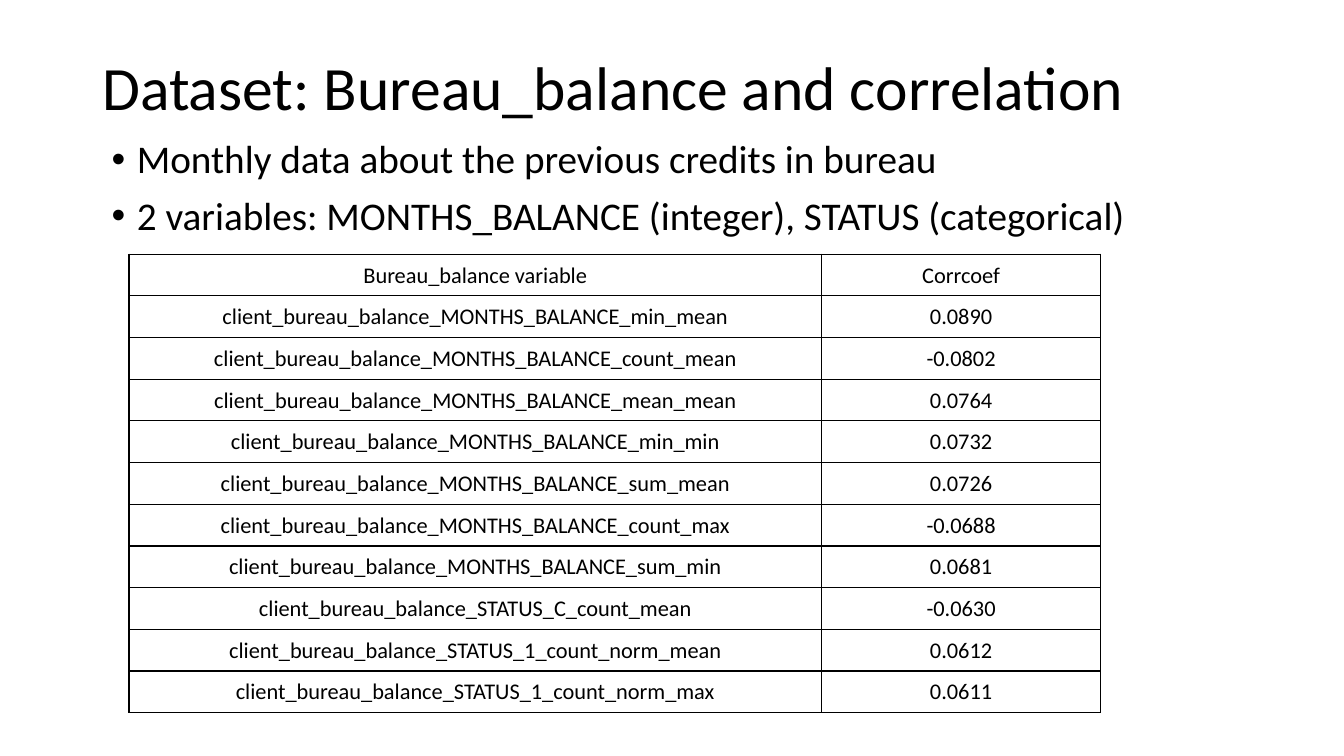
"""Build the Bureau_balance slide with its table of correlation coefficients."""
from dataclasses import dataclass

from lxml import etree
from pptx import Presentation
from pptx.dml.color import RGBColor
from pptx.enum.text import MSO_ANCHOR, PP_ALIGN
from pptx.oxml.ns import qn
from pptx.util import Pt

MIDDLE = MSO_ANCHOR.MIDDLE
TOP = MSO_ANCHOR.TOP
CENTER = PP_ALIGN.CENTER


@dataclass(frozen=True)
class Theme:
    font: str = "Calibri"
    ink: str = "000000"
    title_size: int = 44
    body_size: int = 28
    table_size: int = 16


THEME = Theme()

TITLE = "Dataset: Bureau_balance and correlation"
BULLETS = [
    "Monthly data about the previous credits in bureau",
    "2 variables: MONTHS_BALANCE (integer), STATUS (categorical)",
]
HEADER = ("Bureau_balance variable", "Corrcoef")
PREFIX = "client_bureau_balance_"
CORRELATIONS = [
    ("MONTHS_BALANCE_min_mean", "0.0890"),
    ("MONTHS_BALANCE_count_mean", "-0.0802"),
    ("MONTHS_BALANCE_mean_mean", "0.0764"),
    ("MONTHS_BALANCE_min_min", "0.0732"),
    ("MONTHS_BALANCE_sum_mean", "0.0726"),
    ("MONTHS_BALANCE_count_max", "-0.0688"),
    ("MONTHS_BALANCE_sum_min", "0.0681"),
    ("STATUS_C_count_mean", "-0.0630"),
    ("STATUS_1_count_norm_mean", "0.0612"),
    ("STATUS_1_count_norm_max", "0.0611"),
]
COLUMN_WIDTHS = (494.6, 199.4)
ROW_HEIGHT = 29.78


def add_span(para, text, size):
    span = para.add_run()
    span.text = text
    span.font.name = THEME.font
    span.font.size = Pt(size)
    span.font.color.rgb = RGBColor.from_string(THEME.ink)


def add_frame(page, left, top, width, height, anchor):
    box = page.shapes.add_textbox(Pt(left), Pt(top), Pt(width), Pt(height))
    frame = box.text_frame
    frame.word_wrap = True
    frame.vertical_anchor = anchor
    return frame


deck = Presentation()
deck.slide_width, deck.slide_height = Pt(960), Pt(540)
page = deck.slides.add_slide(deck.slide_layouts[6])

title = add_frame(page, 66, 22.5, 828, 85, MIDDLE).paragraphs[0]
title.line_spacing = 0.9
add_span(title, TITLE, THEME.title_size)

body = add_frame(page, 72.7, 96.5, 828, 91.4, TOP)
for index, text in enumerate(BULLETS):
    para = body.add_paragraph() if index else body.paragraphs[0]
    para.line_spacing = 0.9
    para.space_before = Pt(10)
    add_span(para, text, THEME.body_size)
    properties = para._p.get_or_add_pPr()
    properties.set("marL", str(Pt(18)))
    properties.set("indent", str(Pt(-18)))
    etree.SubElement(properties, qn("a:buFont"), typeface="Arial")
    etree.SubElement(properties, qn("a:buChar"), char="•")

rows = [HEADER] + [(PREFIX + name, value) for name, value in CORRELATIONS]
table = page.shapes.add_table(
    len(rows), len(HEADER), Pt(92.2), Pt(181.6),
    Pt(sum(COLUMN_WIDTHS)), Pt(ROW_HEIGHT * len(rows)),
).table
table.first_row = False
table.horz_banding = False
for column, width in zip(table.columns, COLUMN_WIDTHS):
    column.width = Pt(width)

for row_index, values in enumerate(rows):
    table.rows[row_index].height = Pt(ROW_HEIGHT)
    for column_index, text in enumerate(values):
        cell = table.cell(row_index, column_index)
        cell.fill.background()
        cell.vertical_anchor = MIDDLE
        cell.margin_left = cell.margin_right = cell.margin_top = Pt(0.7)
        cell.margin_bottom = Pt(0)
        para = cell.text_frame.paragraphs[0]
        para.alignment = CENTER
        add_span(para, text, THEME.table_size)
        properties = cell._tc.get_or_add_tcPr()
        for position, side in enumerate(("lnL", "lnR", "lnT", "lnB")):
            border = etree.Element(qn(f"a:{side}"), w=str(Pt(1)))
            fill = etree.SubElement(border, qn("a:solidFill"))
            etree.SubElement(fill, qn("a:srgbClr"), val=THEME.ink)
            properties.insert(position, border)

deck.save("out.pptx")
